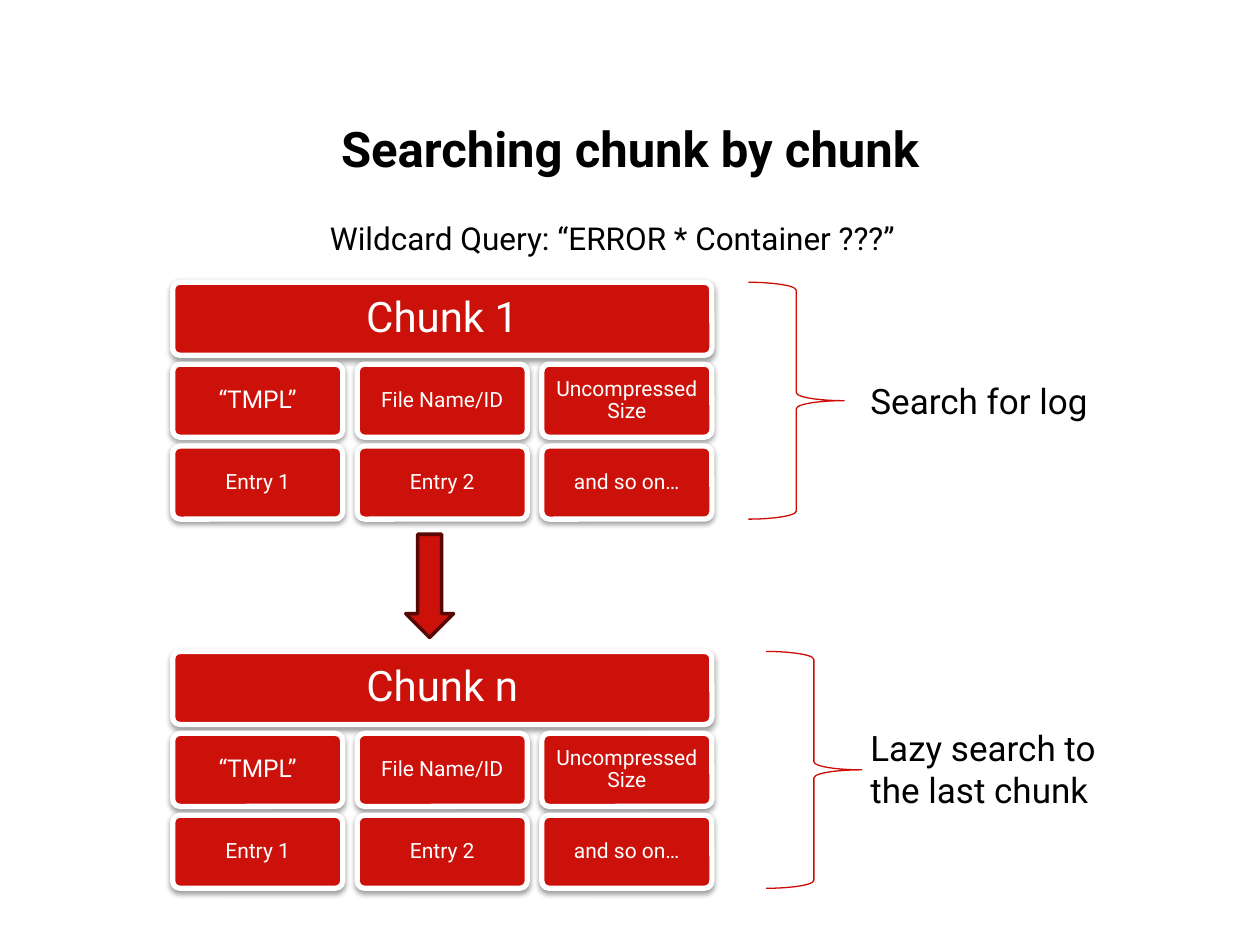
"""Build a slide that shows a wildcard query searching a log chunk by chunk."""
from copy import deepcopy
from dataclasses import dataclass

from lxml import etree
from pptx import Presentation
from pptx import util as u
from pptx.dml.color import RGBColor
from pptx.enum import shapes, text
from pptx.oxml.ns import qn


@dataclass(frozen=True)
class Theme:
    font: str = "Roboto"
    ink: str = "000000"
    white: str = "FFFFFF"
    red: str = "CC110A"
    brace: str = "CC0C05"
    dark_red: str = "590704"
    title: int = 28
    header: int = 24
    label: int = 20
    query: int = 18
    tag: int = 14
    cell: int = 12


class Painter:
    def __init__(self, deck, theme):
        self.deck = deck
        self.theme = theme
        self.page = None

    def new_page(self, layout):
        self.page = self.deck.slides.add_slide(self.deck.slide_layouts[layout])

    def set_words(self, box, words, size, color, align, bold=False, inset=0.1):
        frame = box.text_frame
        frame.word_wrap = True
        frame.margin_left = frame.margin_right = u.Inches(inset)
        para = frame.paragraphs[0]
        para.text = words
        para.alignment = align
        for span in para.runs:
            span.font.name = self.theme.font
            span.font.size = u.Pt(size)
            span.font.bold = bold
            span.font.color.rgb = RGBColor.from_string(color)
        for line_break in para._p.findall(qn("a:br")):
            line_break.append(deepcopy(para.runs[0].font._element))
        return para

    def title(self, words, left, top, width, height):
        box = self.page.shapes.title
        box.left, box.top = u.Inches(left), u.Inches(top)
        box.width, box.height = u.Inches(width), u.Inches(height)
        box.text_frame.vertical_anchor = text.MSO_ANCHOR.MIDDLE
        self.set_words(box, words, self.theme.title, self.theme.ink,
                       text.PP_ALIGN.CENTER, bold=True)

    def label(self, words, size, left, top, width, height):
        box = self.page.shapes.add_textbox(*map(u.Inches, (left, top, width, height)))
        self.set_words(box, words, size, self.theme.ink, text.PP_ALIGN.LEFT)

    def shape(self, parent, kind, place, fill, line, weight):
        box = parent.shapes.add_shape(kind, *map(u.Inches, place))
        box.shadow.inherit = False
        if fill:
            box.fill.solid()
            box.fill.fore_color.rgb = RGBColor.from_string(fill)
        else:
            box.fill.background()
        box.line.color.rgb = RGBColor.from_string(line)
        box.line.width = u.Pt(weight)
        return box

    def drop_shadow(self, box):
        effects = box._element.spPr.find(qn("a:effectLst"))
        shadow = etree.SubElement(
            effects, qn("a:outerShdw"), blurRad=str(u.Pt(3.1)), dist=str(u.Pt(1.6)),
            dir="5400000", rotWithShape="0")
        color = etree.SubElement(shadow, qn("a:srgbClr"), val=self.theme.ink)
        etree.SubElement(color, qn("a:alpha"), val="38000")

    def tile(self, group, words, size, inset, place):
        box = self.shape(group, shapes.MSO_SHAPE.ROUNDED_RECTANGLE, place,
                         self.theme.red, self.theme.white, 3)
        box.adjustments[0] = 0.1
        self.drop_shadow(box)
        box.text_frame.vertical_anchor = text.MSO_ANCHOR.MIDDLE
        para = self.set_words(box, words, size, self.theme.white,
                              text.PP_ALIGN.CENTER, inset=inset)
        para.line_spacing = 0.9

    def chunk(self, name, rows, left, top):
        group = self.page.shapes.add_group_shape()
        full_width, width, height, row_step = 4.28, 1.35, 0.58, 0.65
        column_step = (full_width - width) / 2
        self.tile(group, name, self.theme.header, 0.1, (left, top, full_width, height))
        for row, cells in enumerate(rows, 1):
            for column, words in enumerate(cells):
                size = self.theme.tag if (row, column) == (1, 0) else self.theme.cell
                place = (left + column * column_step, top + row * row_step, width, height)
                self.tile(group, words, size, 0.06, place)

    def brace(self, left, top):
        self.shape(self.page, shapes.MSO_SHAPE.RIGHT_BRACE, (left, top, 0.76, 1.88),
                   None, self.theme.brace, 0.75)

    def arrow(self, left, top, width, height):
        self.shape(self.page, shapes.MSO_SHAPE.DOWN_ARROW, (left, top, width, height),
                   self.theme.red, self.theme.dark_red, 2)


def main():
    deck = Presentation()
    deck.slide_width, deck.slide_height = u.Inches(10), u.Inches(7.5)
    theme = Theme()
    painter = Painter(deck, theme)
    painter.new_page(5)
    painter.title("Searching chunk by chunk", 0.5, 0.8, 9, 0.74)

    rows = (("“TMPL”", "File Name/ID", "Uncompressed\nSize"),
            ("Entry 1", "Entry 2", "and so on…"))
    for name, top, brace_left in (("Chunk 1", 2.24, 5.94), ("Chunk n", 5.17, 6.08)):
        painter.chunk(name, rows, 1.37, top)
        painter.brace(brace_left, top)

    painter.arrow(3.22, 4.24, 0.38, 0.82)
    painter.label("Search for log", theme.label, 6.81, 2.96, 2.15, 0.44)
    painter.label("Lazy search to the last chunk", theme.label, 6.81, 5.72, 2.4, 0.77)
    painter.label("Wildcard Query: “ERROR * Container ???”", theme.query, 2.52, 1.69, 4.96, 0.4)
    deck.save("out.pptx")


if __name__ == "__main__":
    main()
